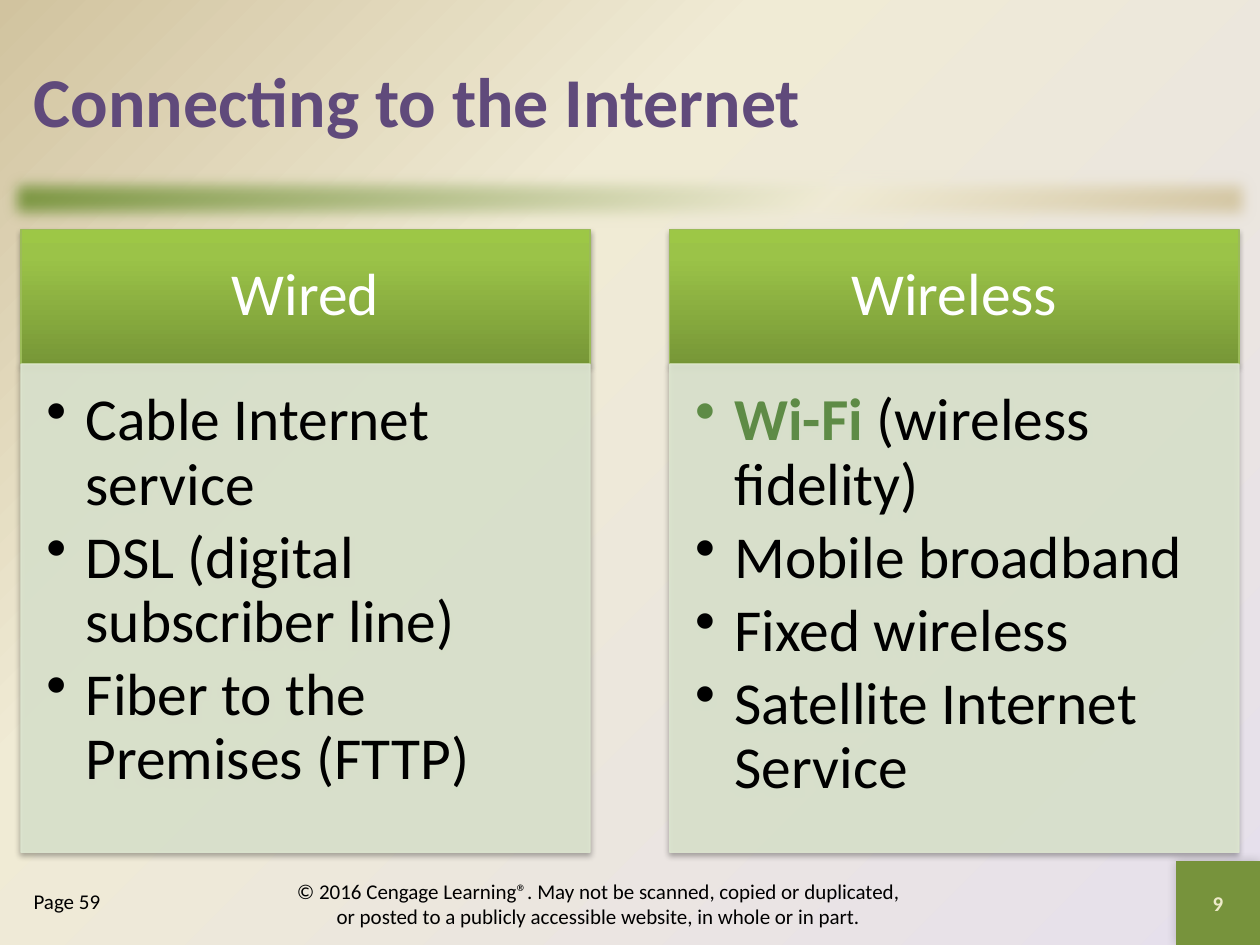
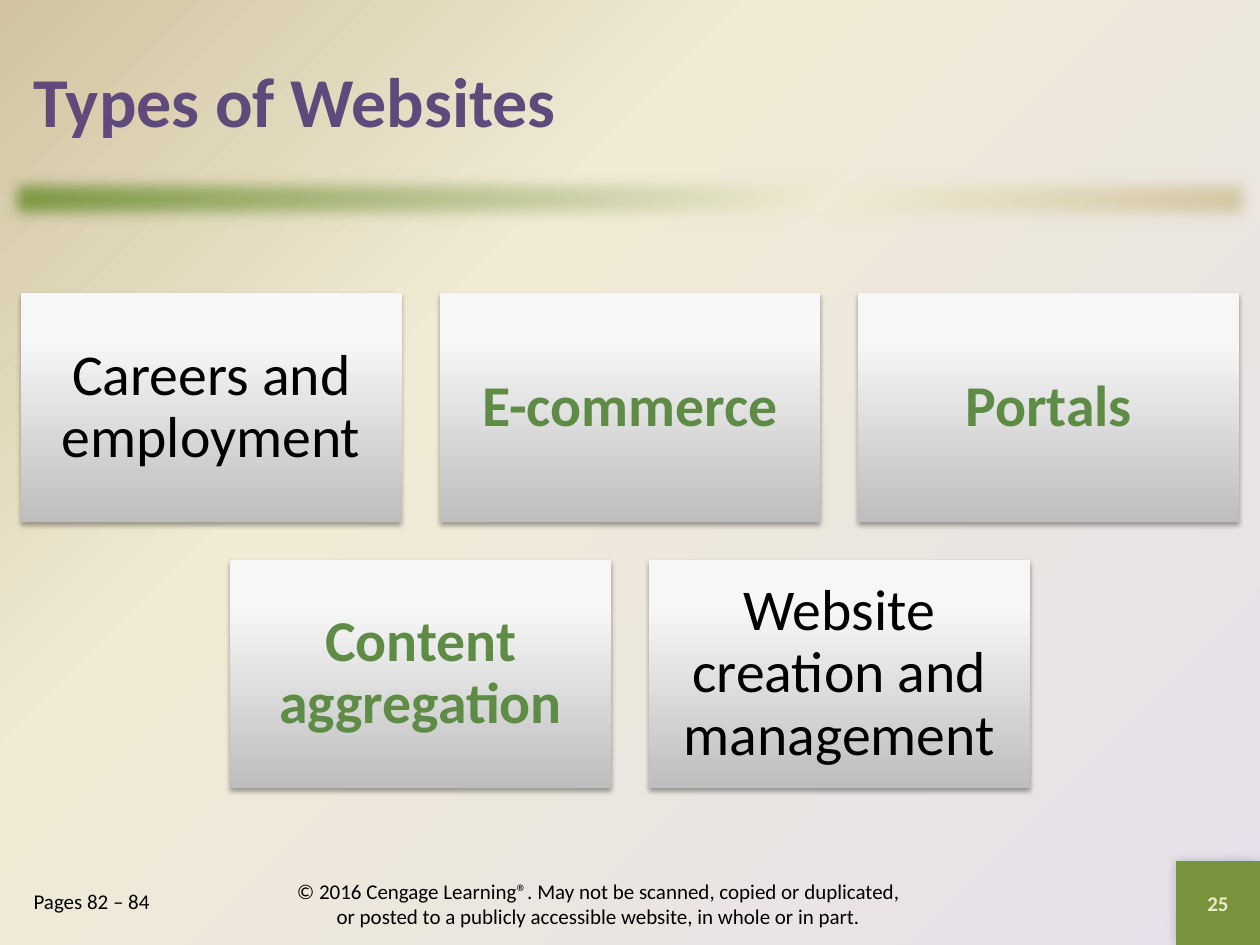
from lxml.etree import SubElement
from pptx import Presentation
from pptx.dml.color import RGBColor
from pptx.enum.shapes import MSO_SHAPE as Shape
from pptx.enum.text import MSO_ANCHOR as Anchor, MSO_AUTO_SIZE as Fit, PP_ALIGN as Align
from pptx.oxml.ns import qn
from pptx.util import Pt

FONT = "Calibri"
PURPLE = RGBColor(0x60, 0x4A, 0x7B)
GREEN = RGBColor(0x77, 0x93, 0x3C)
LEAF = RGBColor(0x9B, 0xBB, 0x59)
TERM = RGBColor(0x5E, 0x8B, 0x46)
PALE = RGBColor(0xDE, 0xE7, 0xD1)
LILAC = RGBColor(0xE6, 0xE0, 0xEC)
CREAM = RGBColor(0xF0, 0xEB, 0xD5)
TAN = RGBColor(0xD1, 0xC3, 0x9F)
IVORY = RGBColor(0xEE, 0xEB, 0xCA)
WHITE = RGBColor(0xFF, 0xFF, 0xFF)
BLACK = RGBColor(0, 0, 0)

# Gradients: (stop in percent, colour)
PAGE = [(0, LILAC), (65, CREAM), (100, TAN)]
BAND = [(0, GREEN), (65, CREAM), (100, TAN)]
HEAD = [(0, RGBColor(0x77, 0x97, 0x37)), (80, RGBColor(0x9B, 0xC3, 0x48)),
        (100, RGBColor(0x9D, 0xC7, 0x46))]
CARD = [(0, RGBColor(0xBE, 0xBE, 0xBE)), (80, RGBColor(0xF7, 0xF7, 0xF7)),
        (100, RGBColor(0xF8, 0xF8, 0xF8))]

AREA = (12, 131, 696, 356)
RIGHTS = ("© 2016 Cengage Learning®. May not be scanned, copied or duplicated, "
          "or posted to a publicly accessible website, in whole or in part.")


# Drawing helpers
def add(node, tag, **attrs):
    return SubElement(node, qn(tag), {k: str(v) for k, v in attrs.items()})


def blend(solid, stops, angle=None):
    """Swap a solid fill for a gradient: linear, or round when no angle is given."""
    grad = solid.getparent().makeelement(qn("a:gradFill"), {"rotWithShape": "1"})
    marks = add(grad, "a:gsLst")
    for pos, color in stops:
        add(add(marks, "a:gs", pos=pos * 1000), "a:srgbClr", val=color)
    if angle is None:
        focus = add(grad, "a:path", path="circle")
        add(focus, "a:fillToRect", l=100000, t=100000, r=0, b=0)
    else:
        add(grad, "a:lin", ang=angle * 60000, scaled=0)
    solid.getparent().replace(solid, grad)


def fade(solid, share):
    add(solid[0], "a:alpha", val=share * 1000)


def rect(slide, box, fill, angle=0, line=None):
    """Draw a rectangle filled with a colour or with gradient stops."""
    shape = slide.shapes.add_shape(Shape.RECTANGLE, *map(Pt, box))
    shape.shadow.inherit = False
    shape.fill.solid()
    if isinstance(fill, RGBColor):
        shape.fill.fore_color.rgb = fill
    else:
        blend(shape.element.spPr.find(qn("a:solidFill")), fill, angle)
    if line is None:
        shape.line.fill.background()
    else:
        shape.line.color.rgb = line
        shape.line.width = Pt(0.75)
    return shape


def shade(shape, blur=3.1, dist=1.8, angle=90, share=35):
    effects = shape.element.spPr.find(qn("a:effectLst"))
    cast = add(effects, "a:outerShdw", blurRad=Pt(blur), dist=Pt(dist),
               dir=angle * 60000, rotWithShape=0)
    add(add(cast, "a:srgbClr", val=BLACK), "a:alpha", val=share * 1000)


def frame(shape, anchor, pads=(7.2, 3.6, 7.2, 3.6)):
    text = shape.text_frame
    text.word_wrap = True
    text.auto_size = Fit.NONE
    text.vertical_anchor = anchor
    text.margin_left, text.margin_top, text.margin_right, text.margin_bottom = map(Pt, pads)
    return text


def write(para, words, size, color, bold=False, align=Align.LEFT):
    para.alignment = align
    run = para.add_run()
    run.text = words
    font = run.font
    font.name, font.size, font.bold = FONT, Pt(size), bold
    font.color.rgb = color


def place(holder, box):
    holder.left, holder.top, holder.width, holder.height = map(Pt, box)


# Parts that every slide shares
def base(deck, title, pages, number):
    slide = deck.slides.add_slide(deck.slide_layouts[1])
    head, note = slide.placeholders

    band = rect(slide, (0, 96, 720, 36), BAND, 45)
    add(band.element.spPr.find(qn("a:effectLst")), "a:softEdge", rad=Pt(9))

    place(head, (12, 12, 696, 90))
    write(frame(head, Anchor.MIDDLE).paragraphs[0], title, 40, PURPLE, True)

    place(note, (12, 504, 132, 36))
    para = frame(note, Anchor.TOP).paragraphs[0]
    props = para._p.get_or_add_pPr()
    props.set("marL", "0")
    props.set("indent", "0")
    add(props, "a:buNone")
    para.space_before = Pt(0)
    write(para, pages, 12, BLACK)

    legal = slide.shapes.add_textbox(*map(Pt, (156, 502, 372, 29)))
    para = frame(legal, Anchor.MIDDLE, (10, 3.6, 10, 3.6)).paragraphs[0]
    write(para, RIGHTS, 12, BLACK, align=Align.CENTER)

    corner = rect(slide, (672, 492, 48, 48), GREEN)
    shade(corner, 6, 0, 225, 20)
    write(frame(corner, Anchor.MIDDLE).paragraphs[0], number, 12, IVORY, True, Align.CENTER)
    return slide


# One headed list; each item is a list of (words, is key term)
def column(slide, box, name, items):
    x, y, w, h = box
    top = 77
    head = rect(slide, (x, y, w, top), HEAD, 270, LEAF)
    shade(head)
    para = frame(head, Anchor.MIDDLE, (19, 11, 19, 11)).paragraphs[0]
    para.line_spacing = 0.9
    write(para, name, 34, WHITE, align=Align.CENTER)

    body = rect(slide, (x, y + top, w, h - top), PALE, line=PALE)
    for solid in body.element.spPr.iter(qn("a:solidFill")):
        fade(solid, 90)
    shade(body)
    text = frame(body, Anchor.TOP, (14.5, 14.5, 19, 21.5))
    for i, item in enumerate(items):
        para = text.add_paragraph() if i else text.paragraphs[0]
        props = para._p.get_or_add_pPr()
        props.set("marL", str(Pt(22.5)))
        props.set("indent", str(-Pt(22.5)))
        add(props, "a:buChar", char="•")
        para.line_spacing = 0.9
        para.space_after = Pt(5.1)
        for words, key in item:
            write(para, words, 34, TERM if key else BLACK, key)


def columns(slide, box, lists):
    x, y, w, h = box
    wide = w / 2.14
    for i, (name, items) in enumerate(lists):
        column(slide, (x + i * 1.14 * wide, y, wide, h), name, items)


# Rows of cards, centred in the box; each card is (words, is key term)
def cards(slide, box, rows):
    x, y, w, h = box
    wide = w / 3.2
    tall, gap = 0.6 * wide, 0.1 * wide
    top = y + (h - len(rows) * (tall + gap) + gap) / 2
    for i, row in enumerate(rows):
        left = x + (w - len(row) * (wide + gap) + gap) / 2
        for j, (words, key) in enumerate(row):
            spot = (left + j * (wide + gap), top + i * (tall + gap), wide, tall)
            card = rect(slide, spot, CARD, 270)
            shade(card)
            para = frame(card, Anchor.MIDDLE, (10, 10, 10, 10)).paragraphs[0]
            para.line_spacing = 0.9
            write(para, words, 33, TERM if key else BLACK, key, Align.CENTER)


def main():
    deck = Presentation()
    deck.slide_width, deck.slide_height = Pt(720), Pt(540)
    master = deck.slide_master
    master.background.fill.solid()
    blend(master.element.find(".//" + qn("p:bgPr")).find(qn("a:solidFill")), PAGE)

    slide = base(deck, "Connecting to the Internet", "Page 59", "9")
    columns(slide, AREA, [
        ("Wired", [[("Cable Internet service", False)],
                   [("DSL (digital subscriber line)", False)],
                   [("Fiber to the Premises (FTTP)", False)]]),
        ("Wireless", [[("Wi-Fi", True), (" (wireless fidelity)", False)],
                      [("Mobile broadband", False)],
                      [("Fixed wireless", False)],
                      [("Satellite Internet Service", False)]]),
    ])

    slide = base(deck, "Types of Websites", "Pages 82 – 84", "25")
    cards(slide, AREA, [
        [("Careers and employment", False), ("E-commerce", True), ("Portals", True)],
        [("Content aggregation", True), ("Website creation and management", False)],
    ])
    deck.save("out.pptx")


if __name__ == "__main__":
    main()
